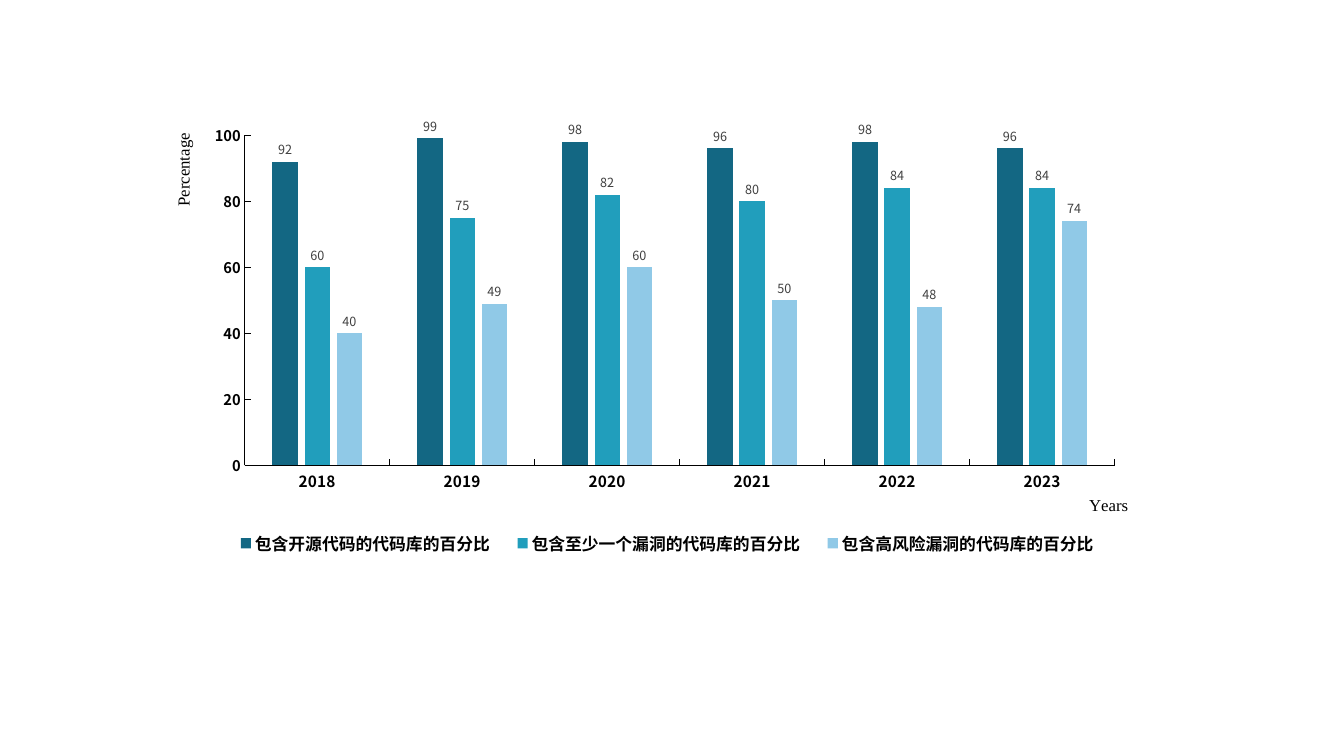
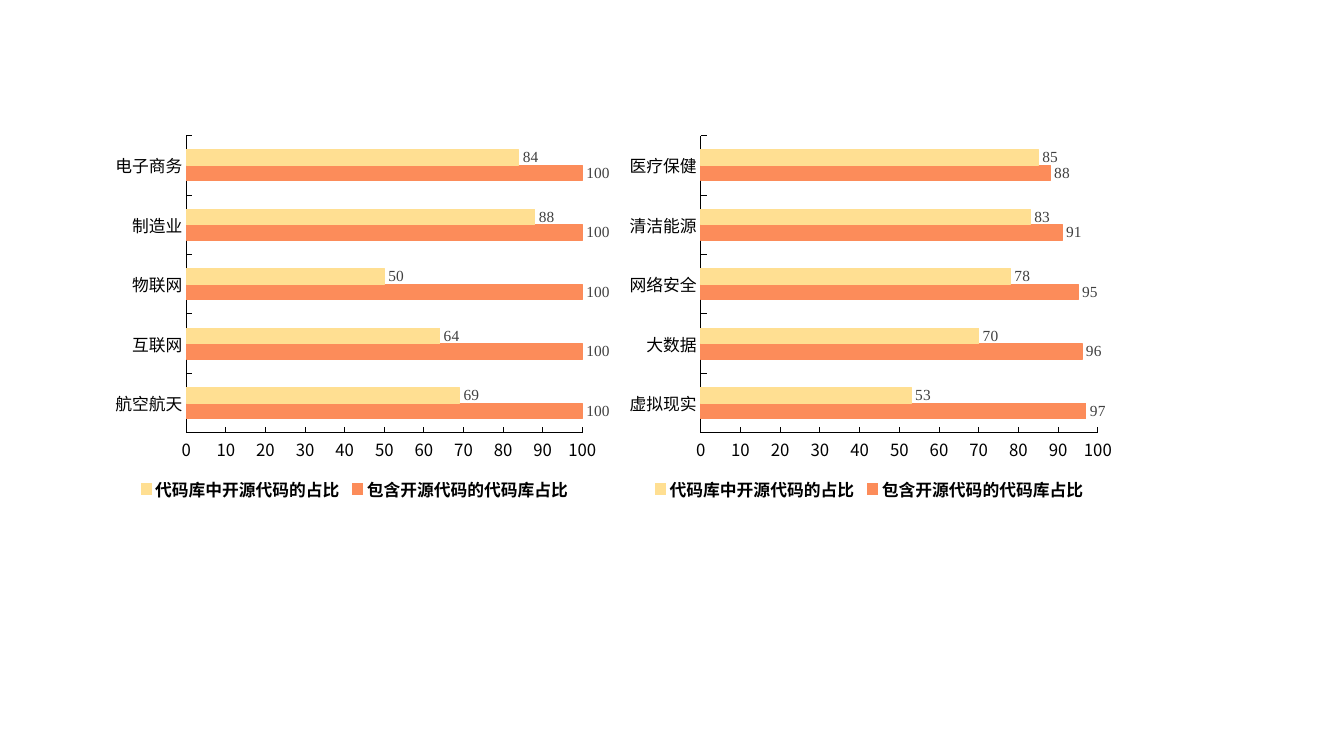
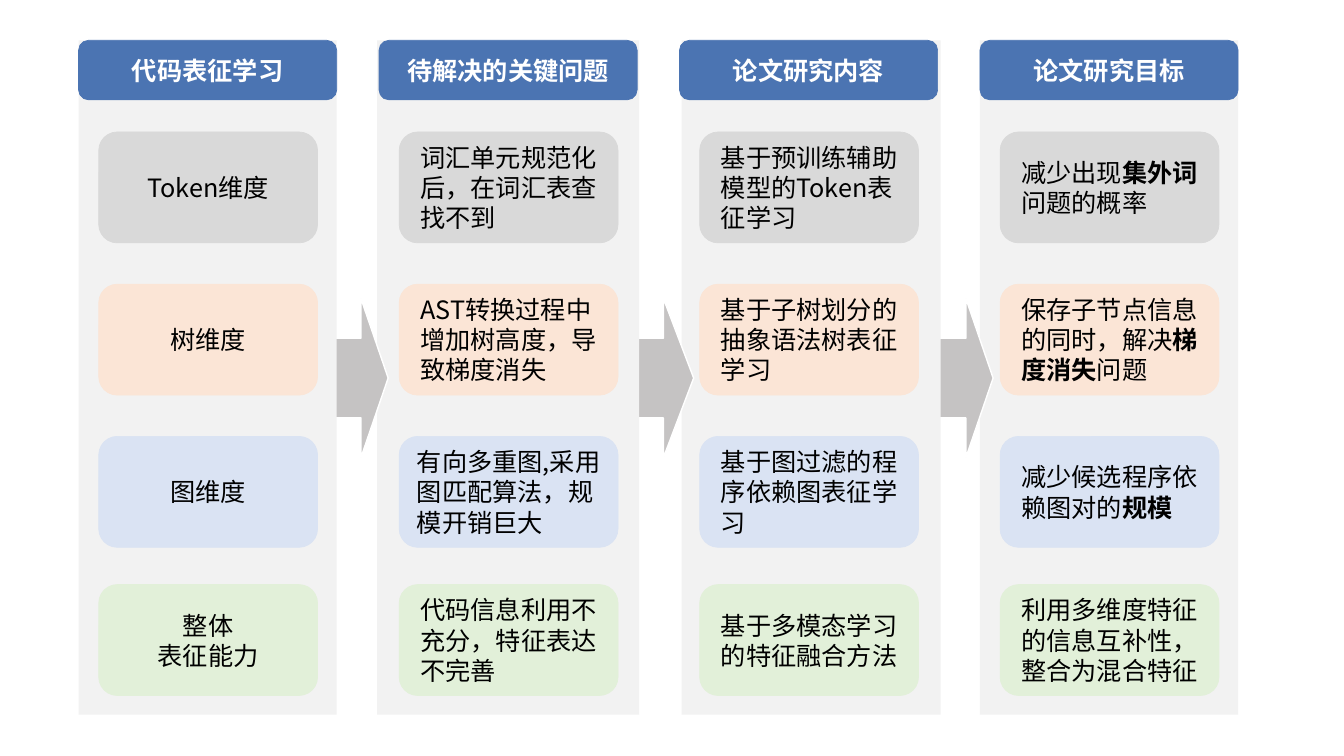
from dataclasses import dataclass

from pptx import Presentation
from pptx.chart.data import CategoryChartData
from pptx.dml.color import RGBColor
from pptx.enum.chart import XL_CHART_TYPE, XL_LABEL_POSITION, XL_LEGEND_POSITION, XL_TICK_MARK
from pptx.enum.shapes import MSO_SHAPE
from pptx.enum.text import MSO_ANCHOR, PP_ALIGN
from pptx.oxml import parse_xml
from pptx.oxml.ns import nsdecls, qn
from pptx.util import Inches, Pt


@dataclass(frozen=True)
class Theme:
    sans: str = "Noto Sans CJK SC"
    serif: str = "Times New Roman"
    black: str = "000000"
    white: str = "FFFFFF"
    label: str = "404040"
    panel: str = "F2F2F2"
    header: str = "4B74B2"
    arrow: str = "C5C3C3"
    rows: tuple = ("D9D9D9", "FBE5D6", "DAE3F3", "E2F0D9")
    blues: tuple = ("136783", "219EBC", "90C9E7")
    warms: tuple = ("FC8C5A", "FFDF92")
    body_size: float = 18
    line_pitch: float = 21.6
    chart_size: float = 10
    legend_size: float = 12


THEME = Theme()


def format_font(font, size, color=THEME.black, bold=False, name=THEME.sans):
    font.size, font.bold, font.name = Pt(size), bold, name
    font.color.rgb = RGBColor.from_string(color)
    latin = font._rPr.find(qn("a:latin"))
    latin.addnext(parse_xml(f'<a:ea {nsdecls("a")} typeface="{name}"/>'))


def write_text(tf, text, align=PP_ALIGN.LEFT, **font):
    """Write one paragraph a line; parts between asterisks are bold."""
    tf.word_wrap = True
    tf.vertical_anchor = MSO_ANCHOR.MIDDLE
    tf._txBody.bodyPr.set("anchorCtr", "1")
    for i, line in enumerate(text.split("\n")):
        p = tf.add_paragraph() if i else tf.paragraphs[0]
        p.alignment = align
        p.line_spacing = Pt(THEME.line_pitch)
        for j, part in enumerate(line.split("*")):
            if part:
                r = p.add_run()
                r.text = part
                format_font(r.font, **{"size": THEME.body_size, "bold": j % 2 == 1, **font})


def place(element, x, y, w=None, h=None):
    """Fix a chart part at fractions of the chart's size."""
    inner = '<c:layoutTarget val="inner"/>' if element.tag == qn("c:plotArea") else ""
    modes = '<c:xMode val="edge"/><c:yMode val="edge"/>'
    values = "".join(f'<c:{k} val="{v}"/>' for k, v in zip("xywh", (x, y, w, h)) if v is not None)
    layout = parse_xml(f'<c:layout {nsdecls("c")}><c:manualLayout>{inner}{modes}{values}'
                       '</c:manualLayout></c:layout>')
    old = element.find(qn("c:layout"))
    overlay = element.find(qn("c:overlay"))
    if old is not None:
        element.replace(old, layout)
    elif overlay is not None:
        overlay.addprevious(layout)
    else:
        element.insert(0, layout)


class Deck:
    def __init__(self, theme):
        self.theme = theme
        self.prs = Presentation()
        self.prs.slide_width, self.prs.slide_height = Inches(13.33), Inches(7.5)
        self.slide = None

    def add_slide(self):
        self.slide = self.prs.slides.add_slide(self.prs.slide_layouts[6])

    def shape(self, kind, x, y, w, h, fill, line=None, line_width=0.5):
        sp = self.slide.shapes.add_shape(kind, Inches(x), Inches(y), Inches(w), Inches(h))
        sp.shadow.inherit = False
        sp.fill.solid()
        sp.fill.fore_color.rgb = RGBColor.from_string(fill)
        if line:
            sp.line.color.rgb = RGBColor.from_string(line)
            sp.line.width = Pt(line_width)
        else:
            sp.line.fill.background()
        return sp

    def box(self, x, y, w, h, fill, text, **fmt):
        sp = self.shape(MSO_SHAPE.ROUNDED_RECTANGLE, x, y, w, h, fill, fill)
        write_text(sp.text_frame, text, **fmt)

    def arrow(self, center_x, center_y, length, breadth):
        """Add an arrow that points right."""
        sp = self.shape(MSO_SHAPE.DOWN_ARROW, center_x - breadth / 2, center_y - length / 2,
                        breadth, length, self.theme.arrow, self.theme.white, 1)
        sp.rotation = 270

    def chart(self, kind, at, cats, series, colors, plot_at, legend_at, gap, overlap=0,
              major=10, cat_font=None, val_font=None, label_font=None, outlined=False):
        data = CategoryChartData()
        data.categories = cats
        for name, values in series:
            data.add_series(name, values)
        chart = self.slide.shapes.add_chart(kind, *map(Inches, at), data).chart
        format_font(chart.font, self.theme.chart_size)
        chart.has_title = False
        chart.has_legend = True
        legend = chart.legend
        legend.position = XL_LEGEND_POSITION.BOTTOM
        legend.include_in_layout = False
        format_font(legend.font, self.theme.legend_size, bold=True)
        place(legend._element, *legend_at)
        place(chart._chartSpace.chart.plotArea, *plot_at)

        for axis, font in ((chart.category_axis, cat_font), (chart.value_axis, val_font)):
            axis.has_major_gridlines = False
            axis.major_tick_mark = XL_TICK_MARK.INSIDE
            axis.minor_tick_mark = XL_TICK_MARK.NONE
            axis.format.line.color.rgb = RGBColor.from_string(self.theme.black)
            axis.format.line.width = Pt(0.75)
            format_font(axis.tick_labels.font, **font)
        chart.value_axis.minimum_scale = 0
        chart.value_axis.maximum_scale = 100
        chart.value_axis.major_unit = major

        plot = chart.plots[0]
        plot.vary_by_categories = False
        plot.gap_width, plot.overlap = gap, overlap
        for s, color in zip(plot.series, colors):
            s.invert_if_negative = False
            s.format.fill.solid()
            s.format.fill.fore_color.rgb = RGBColor.from_string(color)
            if outlined:
                s.format.line.color.rgb = RGBColor.from_string(color)
                s.format.line.width = Pt(0.75)
            labels = s.data_labels
            labels.show_value = True
            labels.position = XL_LABEL_POSITION.OUTSIDE_END
            format_font(labels.font, color=self.theme.label, **label_font)
        return chart

    def axis_title(self, axis, text, x, y, turn=0):
        tf = axis.axis_title.text_frame
        tf._txBody.bodyPr.set("rot", str(turn * 60000))
        tf._txBody.bodyPr.set("vert", "horz")
        r = tf.paragraphs[0].add_run()
        r.text = text
        format_font(r.font, 12, name=self.theme.serif)
        place(axis.axis_title._element, x, y)


def yearly_slide(deck):
    deck.add_slide()
    chart = deck.chart(
        XL_CHART_TYPE.COLUMN_CLUSTERED, (1.49, 1.15, 9.77, 4.66),
        ["2018", "2019", "2020", "2021", "2022", "2023"],
        [("包含开源代码的代码库的百分比", (92, 99, 98, 96, 98, 96)),
         ("包含至少一个漏洞的代码库的百分比", (60, 75, 82, 80, 84, 84)),
         ("包含高风险漏洞的代码库的百分比", (40, 49, 60, 50, 48, 74))],
        THEME.blues, plot_at=(0.096, 0.041, 0.883, 0.703), legend_at=(0.07, 0.88, 0.91, 0.06),
        gap=219, overlap=-27, major=20,
        cat_font={"size": 11, "bold": True}, val_font={"size": 10.5, "bold": True},
        label_font={"size": 9})
    deck.axis_title(chart.category_axis, "Years", 0.95, 0.8)
    deck.axis_title(chart.value_axis, "Percentage", 0.02, 0.03, turn=-90)


def industry_slide(deck):
    deck.add_slide()
    charts = (
        (1.05, ["航空航天", "互联网", "物联网", "制造业", "电子商务"],
         (100, 100, 100, 100, 100), (69, 64, 50, 88, 84)),
        (6.15, ["虚拟现实", "大数据", "网络安全", "清洁能源", "医疗保健"],
         (97, 96, 95, 91, 88), (53, 70, 78, 83, 85)),
    )
    axis_font = {"size": 12}
    for left, cats, containing, share in charts:
        deck.chart(
            XL_CHART_TYPE.BAR_CLUSTERED, (left, 1.27, 5, 3.79), cats,
            [("包含开源代码的代码库占比", containing), ("代码库中开源代码的占比", share)],
            THEME.warms, plot_at=(0.16, 0.02, 0.788, 0.778), legend_at=(0.055, 0.92, 0.88, 0.07),
            gap=182, cat_font=axis_font, val_font=axis_font,
            label_font={"size": 11, "name": THEME.serif}, outlined=True)


def research_slide(deck):
    deck.add_slide()
    top, first_left, pitch, header_width = 0.4, 0.78, 2.98, 2.56
    row_tops = (1.31, 2.82, 4.33, 5.8)
    # panel left, panel width, arrow length into the column, header, boxes
    columns = (
        (0.78, 2.56, None, "代码表征学习",
         ("Token维度", "树维度", "图维度", "整体\n表征能力")),
        (3.74, 2.6, 0.54, "待解决的关键问题",
         ("词汇单元规范化后，在词汇表查找不到", "AST转换过程中增加树高度，导致梯度消失",
          "有向多重图,采用图匹配算法，规模开销巨大", "代码信息利用不充分，特征表达不完善")),
        (6.76, 2.57, 0.6, "论文研究内容",
         ("基于预训练辅助模型的Token表征学习", "基于子树划分的抽象语法树表征学习",
          "基于图过滤的程序依赖图表征学习", "基于多模态学习的特征融合方法")),
        (9.72, 2.56, 0.54, "论文研究目标",
         ("减少出现*集外词*问题的概率", "保存子节点信息的同时，解决*梯度消失*问题",
          "减少候选程序依赖图对的*规模*", "利用多维度特征的信息互补性，整合为混合特征")),
    )
    # Right to left, so that each panel covers the tail of the arrow leaving it
    for i, (panel_left, panel_width, arrow_length, header, texts) in reversed(list(enumerate(columns))):
        left = first_left + pitch * i
        deck.shape(MSO_SHAPE.RECTANGLE, panel_left, top, panel_width, 6.69, THEME.panel)
        deck.box(left, top, header_width, 0.59, THEME.header, header,
                 align=PP_ALIGN.CENTER, color=THEME.white, bold=True)
        align = PP_ALIGN.LEFT if i else PP_ALIGN.CENTER
        for row_top, fill, text in zip(row_tops, THEME.rows, texts):
            deck.box(left + 0.2, row_top, 2.17, 1.1, fill, text, align=align)
        if arrow_length:
            deck.arrow(0.58 + 3 * i, 3.75, arrow_length, 1.58)


def main():
    deck = Deck(THEME)
    yearly_slide(deck)
    industry_slide(deck)
    research_slide(deck)
    deck.prs.save("out.pptx")


if __name__ == "__main__":
    main()
